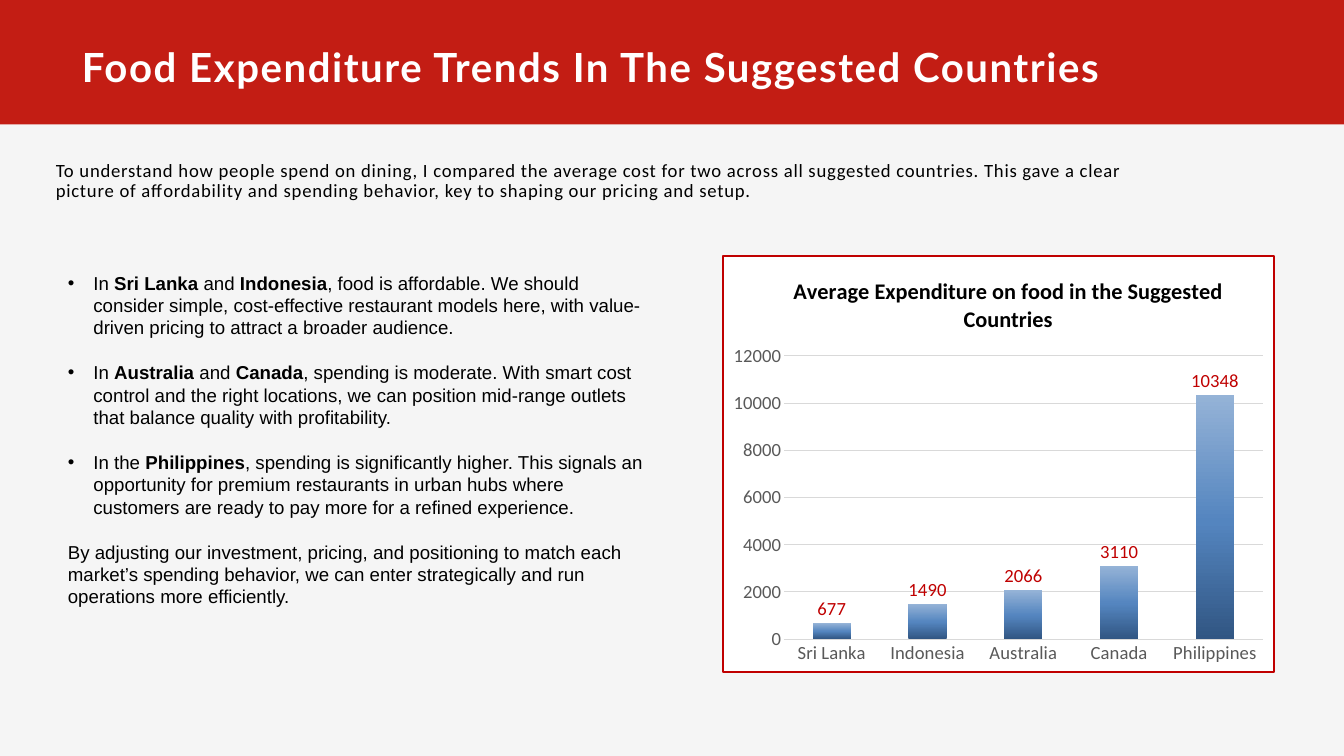
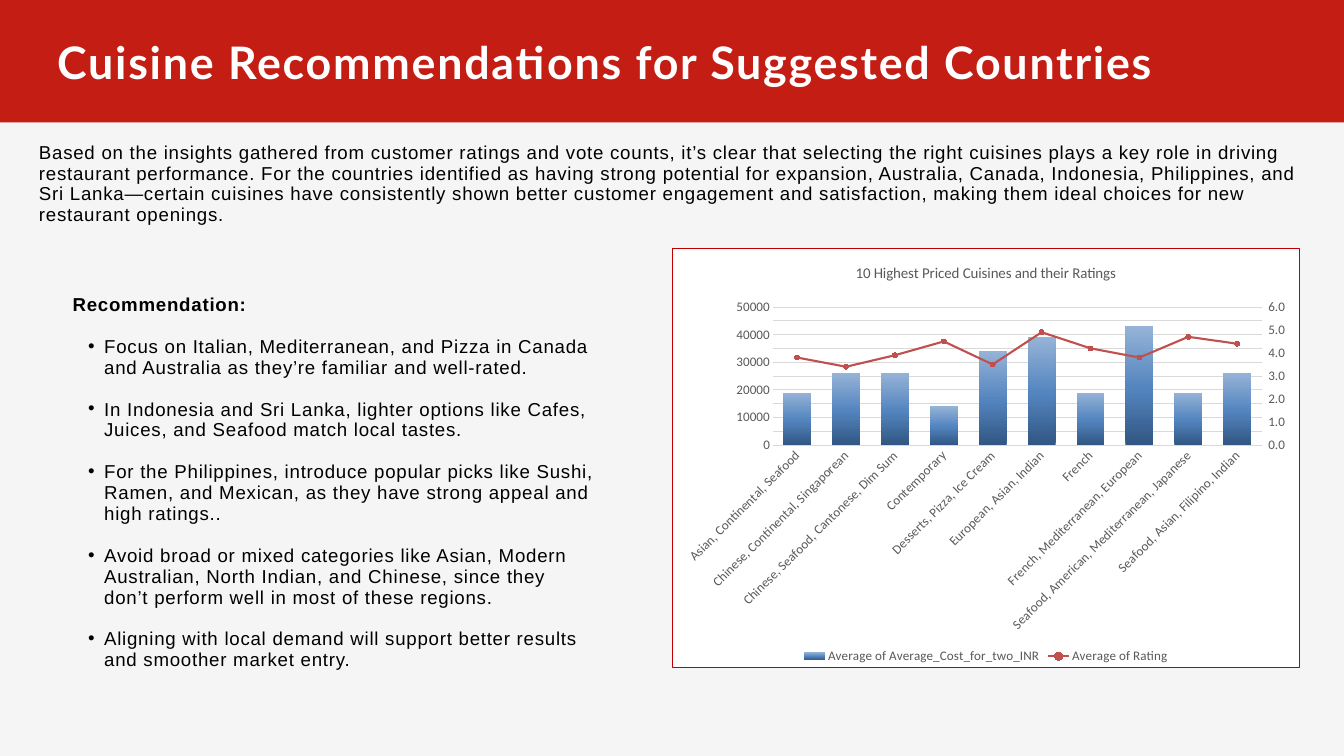
from copy import deepcopy

from lxml import etree
from pptx import Presentation
from pptx.chart.axis import ValueAxis
from pptx.chart.data import CategoryChartData
from pptx.dml.color import RGBColor
from pptx.enum.chart import (XL_CHART_TYPE, XL_LABEL_POSITION, XL_LEGEND_POSITION,
                             XL_MARKER_STYLE, XL_TICK_MARK)
from pptx.enum.shapes import MSO_SHAPE
from pptx.enum.text import MSO_ANCHOR, MSO_AUTO_SIZE, PP_ALIGN
from pptx.oxml import parse_xml
from pptx.oxml.ns import nsdecls, qn
from pptx.util import Inches, Pt

COLUMNS = XL_CHART_TYPE.COLUMN_CLUSTERED
OUTSIDE_END = XL_LABEL_POSITION.OUTSIDE_END
LEGEND_BOTTOM = XL_LEGEND_POSITION.BOTTOM
CIRCLE = XL_MARKER_STYLE.CIRCLE
TICK_NONE, TICK_OUT = XL_TICK_MARK.NONE, XL_TICK_MARK.OUTSIDE
RECTANGLE = MSO_SHAPE.RECTANGLE
TOP, LEFT, NO_AUTOSIZE = MSO_ANCHOR.TOP, PP_ALIGN.LEFT, MSO_AUTO_SIZE.NONE

# Shared palette
BACKGROUND, BAND_RED, BORDER_RED = "F5F5F5", "C31D14", "C00000"
WHITE, BLACK, GREY, GRID = "FFFFFF", "000000", "595959", "D9D9D9"
RATING_RED = "C0504D"
COLUMN_GRADIENT = [(0, "315683"), (0.48, "5485BF"), (1, "95B3D7")]


def color(value):
    return RGBColor.from_string(value)


def set_format(target, values):
    for name, value in values.items():
        setattr(target, name, value)


def set_font(font, size, fill=BLACK, name="Calibri", bold=False):
    set_format(font, {"size": Pt(size), "name": name, "bold": bold})
    font.color.rgb = color(fill)


def set_layout(parent, box, inner=False):
    """Place a chart title or plot area by fractions of the chart."""
    for old in parent.findall(qn("c:layout")):
        parent.remove(old)
    target = '<c:layoutTarget val="inner"/>' if inner else ""
    modes = '<c:xMode val="edge"/><c:yMode val="edge"/>'
    sizes = "".join(f'<c:{key} val="{value}"/>' for key, value in zip("xywh", box))
    layout = parse_xml(f'<c:layout {nsdecls("c")}><c:manualLayout>{target}{modes}{sizes}'
                       '</c:manualLayout></c:layout>')
    text = parent.find(qn("c:tx"))
    if text is None:
        parent.insert(0, layout)
    else:
        text.addnext(layout)


class Deck:
    """Holds the style and the current slide."""

    def __init__(self):
        self.presentation = Presentation()
        set_format(self.presentation, {"slide_width": Inches(20), "slide_height": Inches(11.25)})
        fill = self.presentation.slide_master.background.fill
        fill.solid()
        fill.fore_color.rgb = color(BACKGROUND)
        self.slide = None

    def add_slide(self):
        layout = self.presentation.slide_layouts.get_by_name("Title and Content")
        self.slide = self.presentation.slides.add_slide(layout)

    def place(self, shape, box):
        for name, value in zip(("left", "top", "width", "height"), box):
            setattr(shape, name, Inches(value))
        frame = shape.text_frame
        set_format(frame, {"word_wrap": True, "auto_size": NO_AUTOSIZE, "vertical_anchor": TOP,
                           "margin_left": 0, "margin_top": 0, "margin_right": 0,
                           "margin_bottom": 0})
        return frame

    def fill_paragraph(self, paragraph, text, size, name, line, fill=BLACK, bold=False,
                       tracking=0, after=0):
        """Fill one paragraph; parts between ** marks are bold."""
        set_format(paragraph, {"alignment": LEFT, "line_spacing": Pt(line),
                               "space_before": Pt(0), "space_after": Pt(after)})
        for index, part in enumerate(text.split("**")):
            if part:
                run = paragraph.add_run()
                run.text = part
                set_font(run.font, size, fill, name, bold or index % 2 == 1)
                if tracking:
                    run.font._element.set("spc", str(round(tracking * 100)))

    def title_band(self, text, box, size, tracking, band_left, band_height):
        title = self.slide.shapes.title
        band = self.slide.shapes.add_shape(RECTANGLE, Inches(band_left), 0,
                                           Inches(20 - band_left), Inches(band_height))
        band.shadow.inherit = False
        band.fill.solid()
        band.fill.fore_color.rgb = color(BAND_RED)
        band.line.fill.background()
        title._element.addprevious(band._element)
        frame = self.place(title, box)
        self.fill_paragraph(frame.paragraphs[0], text, size, "Lato", size * 1.1, WHITE, True,
                            tracking)

    def intro(self, text, box, name):
        shape = self.slide.shapes.add_textbox(0, 0, 0, 0)
        frame = self.place(shape, box)
        self.fill_paragraph(frame.paragraphs[0], text, 20, name, 22, tracking=0.8)

    def body(self, items, box, line, indent, hanging, level=0, tracking=0):
        """Fill the body; items that start with a bullet get a hanging indent."""
        frame = self.place(self.slide.placeholders[1], box)
        for index, item in enumerate(items):
            paragraph = frame.add_paragraph() if index else frame.paragraphs[0]
            bulleted = item.startswith("•")
            self.fill_paragraph(paragraph, item.lstrip("• "), 20, "Arial", line,
                                tracking=tracking, after=line)
            properties = paragraph._p.get_or_add_pPr()
            if bulleted:
                paragraph.level = level
                properties.set("marL", str(Inches(indent)))
                properties.set("indent", str(-Inches(hanging)))
                etree.SubElement(properties, qn("a:buFont")).set("typeface", "Arial")
                etree.SubElement(properties, qn("a:buChar")).set("char", "•")
            else:
                properties.set("marL", "0")
                properties.set("indent", "0")
                etree.SubElement(properties, qn("a:buNone"))

    def column_chart(self, box, categories, series, title, size, border, plot_box, gap):
        data = CategoryChartData(number_format="0")
        data.categories = categories
        for name, values in series:
            data.add_series(name, values)
        chart = self.slide.shapes.add_chart(COLUMNS, *map(Inches, box), data).chart
        set_font(chart.font, size)
        chart.has_legend = False
        # White panel with a red border
        chart._chartSpace.find(qn("c:txPr")).addprevious(parse_xml(
            f'<c:spPr {nsdecls("c", "a")}><a:solidFill><a:srgbClr val="{WHITE}"/></a:solidFill>'
            f'<a:ln w="{Pt(border)}"><a:solidFill><a:srgbClr val="{BORDER_RED}"/></a:solidFill>'
            '</a:ln></c:spPr>'))
        chart.has_title = True
        chart.chart_title.include_in_layout = False
        paragraph = chart.chart_title.text_frame.paragraphs[0]
        paragraph.add_run().text = title
        set_layout(chart._chartSpace.chart.plotArea, plot_box, inner=True)
        plot = chart.plots[0]
        set_format(plot, {"gap_width": gap, "vary_by_categories": False})
        self.gradient(plot.series[0])
        # Axes
        self.axis(chart.category_axis, size, GRID)
        self.axis(chart.value_axis, size)
        grid_line = chart.value_axis.major_gridlines.format.line
        grid_line.color.rgb = color(GRID)
        grid_line.width = Pt(0.75)
        return chart

    def title_font(self, chart, size, fill, bold=False):
        set_font(chart.chart_title.text_frame.paragraphs[0].runs[0].font, size, fill, bold=bold)

    def gradient(self, series):
        fill = series.format.fill
        fill.gradient()
        fill.gradient_angle = 90
        stop_list = series._element.xpath("c:spPr/a:gradFill/a:gsLst")[0]
        stop_list.append(deepcopy(stop_list[0]))
        for stop, (position, value) in zip(fill.gradient_stops, COLUMN_GRADIENT):
            stop.position = position
            stop.color.rgb = color(value)

    def axis(self, axis, size, line=None, tick=TICK_NONE, number_format="0"):
        set_format(axis, {"major_tick_mark": tick, "minor_tick_mark": TICK_NONE})
        set_font(axis.tick_labels.font, size, GREY)
        if line:
            axis.format.line.color.rgb = color(line)
            axis.format.line.width = Pt(0.75)
        else:
            axis.format.line.fill.background()
            set_format(axis.tick_labels, {"number_format": number_format,
                                          "number_format_is_linked": False})

    def line_on_right_axis(self, chart, size, maximum, unit):
        """Turn the last column series into a line with its own axis."""
        columns = chart.plots[0]._element
        series = columns.findall(qn("c:ser"))[-1]
        for invert in series.findall(qn("c:invertIfNegative")):
            series.remove(invert)
        line_chart = parse_xml(
            f'<c:lineChart {nsdecls("c")}><c:grouping val="standard"/><c:varyColors val="0"/>'
            '<c:marker val="1"/><c:axId val="5001"/><c:axId val="5002"/></c:lineChart>')
        line_chart.insert(2, series)
        columns.addnext(line_chart)
        last_axis = chart.value_axis._element
        for kind, own, other, hidden, side, crosses in (
                ("catAx", 5001, 5002, 1, "b", "autoZero"), ("valAx", 5002, 5001, 0, "r", "max")):
            axis = parse_xml(
                f'<c:{kind} {nsdecls("c")}><c:axId val="{own}"/><c:scaling>'
                f'<c:orientation val="minMax"/></c:scaling><c:delete val="{hidden}"/>'
                f'<c:axPos val="{side}"/><c:tickLblPos val="nextTo"/><c:crossAx val="{other}"/>'
                f'<c:crosses val="{crosses}"/></c:{kind}>')
            last_axis.addnext(axis)
            last_axis = axis
        right_axis = ValueAxis(last_axis)
        set_format(right_axis, {"minimum_scale": 0, "maximum_scale": maximum, "major_unit": unit})
        self.axis(right_axis, size, tick=TICK_OUT, number_format="0.0")
        line = chart.plots[1].series[0]
        line.smooth = False
        line.format.line.color.rgb = color(RATING_RED)
        line.format.line.width = Pt(2.25)
        set_format(line.marker, {"style": CIRCLE, "size": 5})
        line.marker.format.fill.solid()
        line.marker.format.fill.fore_color.rgb = color(RATING_RED)
        line.marker.format.line.color.rgb = color(RATING_RED)


def expenditure_slide(deck):
    deck.add_slide()
    deck.title_band("Food Expenditure Trends In The Suggested Countries",
                    (1.22, 0.69, 18.17, 0.68), 43, 1.7, 0, 1.85)
    deck.intro("To understand how people spend on dining, I compared the average cost for two across "
               "all suggested countries. This gave a clear picture of affordability and spending "
               "behavior, key to shaping our pricing and setup.", (0.83, 2.39, 16.25, 0.62), "Calibri")
    deck.body([
        "• In **Sri Lanka** and **Indonesia**, food is affordable. We should consider simple, "
        "cost-effective restaurant models here, with value-driven pricing to attract a broader audience.",
        "• In **Australia** and **Canada**, spending is moderate. With smart cost control and the right "
        "locations, we can position mid-range outlets that balance quality with profitability.",
        "• In the **Philippines**, spending is significantly higher. This signals an opportunity for "
        "premium restaurants in urban hubs where customers are ready to pay more for a refined experience.",
        "By adjusting our investment, pricing, and positioning to match each market’s spending behavior, "
        "we can enter strategically and run operations more efficiently.",
    ], (1.01, 4.04, 8.67, 5.41), 24, 0.38, 0.38)
    chart = deck.column_chart(
        (10.75, 3.79, 8.22, 6.23), ["Sri Lanka", "Indonesia", "Australia", "Canada", "Philippines"],
        [("Series 1", (677, 1490, 2066, 3110, 10348))],
        "Average Expenditure on food in the Suggested Countries", 20, 2, (0.11, 0.24, 0.87, 0.68), 150)
    deck.title_font(chart, 24, BLACK, True)
    set_layout(chart.chart_title._element, (0.12, 0.04))
    plot = chart.plots[0]
    plot.has_data_labels = True
    set_format(plot.data_labels, {"show_value": True, "position": OUTSIDE_END,
                                  "number_format": "0", "number_format_is_linked": False})
    set_font(plot.data_labels.font, 20, BORDER_RED)


def cuisine_slide(deck):
    deck.add_slide()
    deck.title_band("Cuisine Recommendations for Suggested Countries",
                    (0.85, 0.59, 19.29, 0.75), 48, 1.9, -0.19, 1.82)
    deck.intro("Based on the insights gathered from customer ratings and vote counts, it’s clear that "
               "selecting the right cuisines plays a key role in driving restaurant performance. For the "
               "countries identified as having strong potential for expansion, Australia, Canada, "
               "Indonesia, Philippines, and Sri Lanka—certain cuisines have consistently shown better "
               "customer engagement and satisfaction, making them ideal choices for new restaurant "
               "openings.", (0.58, 2.13, 18.84, 1.27), "Arial")
    deck.body([
        "**Recommendation:**",
        "• Focus on Italian, Mediterranean, and Pizza in Canada and Australia as they’re familiar and "
        "well-rated.",
        "• In Indonesia and Sri Lanka, lighter options like Cafes, Juices, and Seafood match local tastes.",
        "• For the Philippines, introduce popular picks like Sushi, Ramen, and Mexican, as they have "
        "strong appeal and high ratings..",
        "• Avoid broad or mixed categories like Asian, Modern Australian, North Indian, and Chinese, "
        "since they don’t perform well in most of these regions.",
        "• Aligning with local demand will support better results and smoother market entry.",
    ], (1.08, 4.38, 7.76, 5.55), 22.4, 0.47, 0.24, level=1, tracking=0.8)
    chart = deck.column_chart(
        (10, 3.69, 9.34, 6.24),
        ["Asian, Continental, Seafood", "Chinese, Continental, Singaporean",
         "Chinese, Seafood, Cantonese, Dim Sum", "Contemporary", "Desserts, Pizza, Ice Cream",
         "European, Asian, Indian", "French", "French, Mediterranean, European",
         "Seafood, American, Mediterranean, Japanese", "Seafood, Asian, Filipino, Indian"],
        [("Average of Average_Cost_for_two_INR",
          (19000, 26000, 26000, 14000, 34000, 39000, 19000, 43000, 19000, 26000)),
         ("Average of Rating", (3.8, 3.4, 3.9, 4.5, 3.5, 4.9, 4.2, 3.8, 4.7, 4.4))],
        "10 Highest Priced Cuisines and their Ratings", 14, 0.75, (0.16, 0.14, 0.78, 0.33), 75)
    deck.title_font(chart, 16, GREY)
    chart.plots[0].overlap = -25
    set_format(chart.value_axis, {"minimum_scale": 0, "maximum_scale": 50000, "major_unit": 5000})
    chart.category_axis._element.find(qn("c:txPr")).find(qn("a:bodyPr")).set("rot", "-2700000")
    deck.line_on_right_axis(chart, 14, 6, 1)
    chart.has_legend = True
    set_format(chart.legend, {"position": LEGEND_BOTTOM, "include_in_layout": False})
    set_font(chart.legend.font, 14, GREY)


def main():
    deck = Deck()
    expenditure_slide(deck)
    cuisine_slide(deck)
    deck.presentation.save("out.pptx")


if __name__ == "__main__":
    main()
